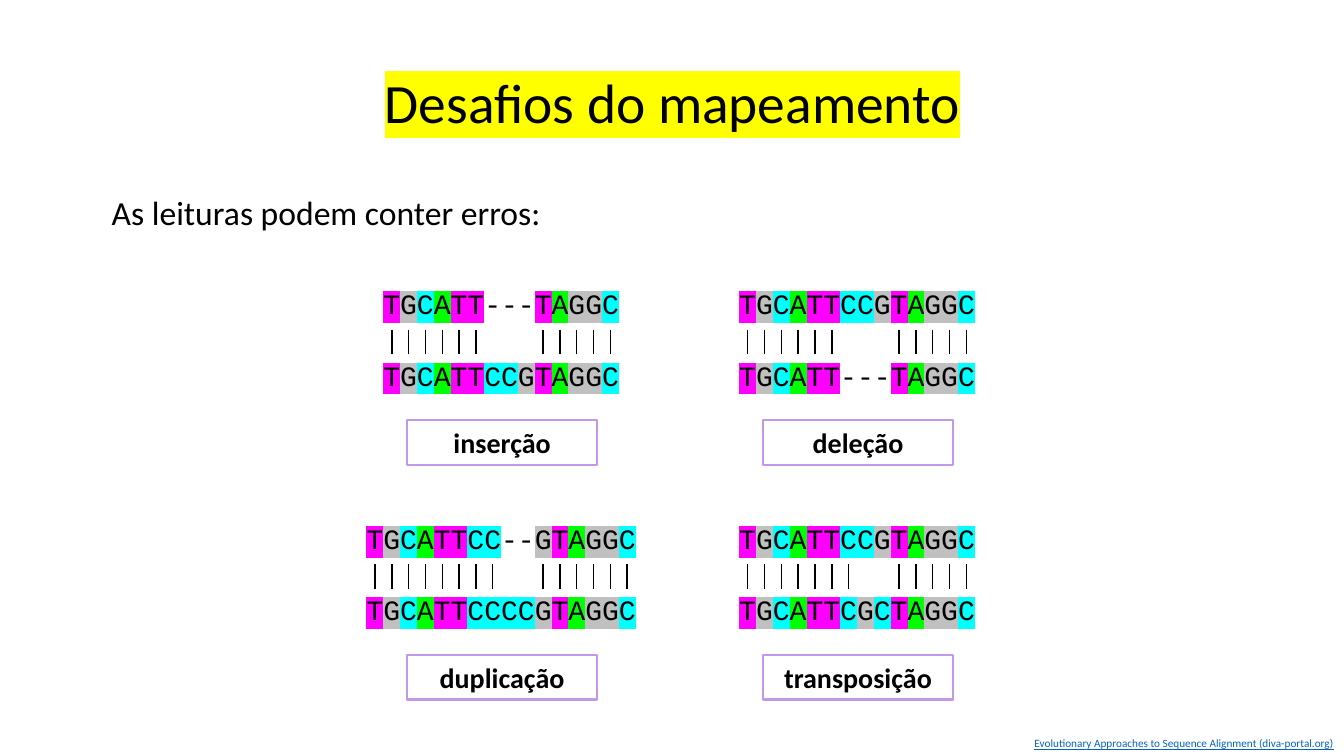
from dataclasses import dataclass
from itertools import groupby

from lxml.etree import SubElement
from pptx import Presentation
from pptx.dml.color import RGBColor
from pptx.enum.shapes import MSO_CONNECTOR, MSO_SHAPE
from pptx.enum.text import MSO_ANCHOR, MSO_AUTO_SIZE, PP_ALIGN
from pptx.oxml import parse_xml
from pptx.oxml.ns import nsdecls, qn
from pptx.util import Inches, Pt


@dataclass(frozen=True)
class Theme:
    ink: str = "000000"
    mark: str = "FFFF00"
    frame: str = "C298EA"
    link: str = "0563C1"
    sans: str = "Calibri"
    mono: str = "Courier New"
    title: float = 39.6
    lead: float = 24
    body: float = 20
    note: float = 8


THEME = Theme()
BASES = {"T": "FF00FF", "G": "C0C0C0", "C": "00FFFF", "A": "00FF00"}

WIDE, HIGH = 13.33, 7.5
STEP = 1 / 6        # width of one letter column
PAD = 0.1           # side inset of a text box
SLACK = 0.02        # spare width after the last letter
GRID = {"left": 4.98, "top": 2.83, "col": 3.53, "row": 2.33}

# Label, upper sequence, lower sequence; two blocks to a row
ERRORS = [
    ("inserção", "TGCATT---TAGGC", "TGCATTCCGTAGGC"),
    ("deleção", "TGCATTCCGTAGGC", "TGCATT---TAGGC"),
    ("duplicação", "TGCATTCC--GTAGGC", "TGCATTCCCCGTAGGC"),
    ("transposição", "TGCATTCCGTAGGC", "TGCATTCGCTAGGC"),
]


def rgb(code):
    return RGBColor.from_string(code)


def assign(item, values):
    for name, value in values.items():
        setattr(item, name, value)


def place(shape, box):
    names = ("left", "top", "width", "height")
    assign(shape, dict(zip(names, map(Inches, box))))


def write(shape, runs, size, face=THEME.sans, color=THEME.ink,
          frame=None, para=None, font=None):
    """Fill a shape with one paragraph of (text, highlight) runs."""
    text = shape.text_frame
    assign(text, {"word_wrap": True, "auto_size": MSO_AUTO_SIZE.NONE,
                  "vertical_anchor": MSO_ANCHOR.TOP, **(frame or {})})
    line = text.paragraphs[0]
    assign(line, {"space_before": Pt(0), **(para or {})})
    for words, mark in runs:
        run = line.add_run()
        run.text = words
        assign(run.font, {"size": Pt(size), "name": face, **(font or {})})
        run.font.color.rgb = rgb(color)
        if mark:
            # Highlight follows the fill in the run properties
            fill = run.font.fill._xPr.find(qn("a:solidFill"))
            fill.addnext(parse_xml(
                f'<a:highlight {nsdecls("a")}><a:srgbClr val="{mark}"/></a:highlight>'))


def note(shapes, box, runs, size, **style):
    shape = shapes.add_textbox(*map(Inches, box))
    write(shape, runs, size, **style)


def strand(shapes, box, bases):
    """A sequence on one line, each base on its own colour."""
    runs = [("".join(same), BASES.get(base)) for base, same in groupby(bases)]
    note(shapes, box, runs, THEME.body, face=THEME.mono,
         frame={"word_wrap": False},
         para={"line_spacing": 0.9, "alignment": PP_ALIGN.LEFT})


def tick(shapes, x, top, base):
    line = shapes.add_connector(MSO_CONNECTOR.STRAIGHT,
                                *map(Inches, (x, top, x, base)))
    line.line.color.rgb = rgb(THEME.ink)
    line.line.width = Pt(1)
    SubElement(line._element.spPr, qn("a:effectLst"))


def label(shapes, box, words):
    shape = shapes.add_shape(MSO_SHAPE.RECTANGLE, *map(Inches, box))
    shape.shadow.inherit = False
    shape.fill.background()
    shape.line.color.rgb = rgb(THEME.frame)
    shape.line.width = Pt(1.5)
    write(shape, [(words, None)], THEME.body, font={"bold": True},
          para={"alignment": PP_ALIGN.CENTER})


def block(slide, mid, top, name, upper, lower):
    """Two aligned strands, ticks between equal bases, and a label."""
    shapes = slide.shapes.add_group_shape().shapes
    wide = len(upper) * STEP + 2 * PAD + SLACK
    left = mid - wide / 2
    for bases, down in ((upper, 0), (lower, 0.71)):
        strand(shapes, (left, top + down, wide, 0.45), bases)
    for spot, (one, two) in enumerate(zip(upper, lower)):
        if one == two:
            x = left + PAD + (spot + 0.5) * STEP
            tick(shapes, x, top + 0.44, top + 0.68)
    label(shapes, (mid - 0.94, top + 1.34, 1.88, 0.44), name)


def header(slide, box):
    head = slide.shapes.title
    place(head, box)
    write(head, [("Desafios do mapeamento", THEME.mark)], THEME.title,
          frame={"vertical_anchor": MSO_ANCHOR.BOTTOM},
          para={"alignment": PP_ALIGN.CENTER, "line_spacing": 0.8})


def main():
    deck = Presentation()
    assign(deck, {"slide_width": Inches(WIDE), "slide_height": Inches(HIGH)})
    slide = deck.slides.add_slide(deck.slide_layouts[5])

    # Title and lead sentence
    header(slide, (0.92, 0.69, 11.5, 0.69))
    note(slide.shapes, (1.01, 1.9, 11.37, 4.99),
         [("As leituras podem conter erros:", None)], THEME.lead,
         para={"line_spacing": 0.9})

    # Grid of alignment errors
    for spot, error in enumerate(ERRORS):
        row, col = divmod(spot, 2)
        block(slide, GRID["left"] + col * GRID["col"],
              GRID["top"] + row * GRID["row"], *error)

    # Source line at the foot
    note(slide.shapes, (0, HIGH - 0.24, WIDE, 0.24),
         [("Evolutionary Approaches to Sequence Alignment (diva-portal.org)", None)],
         THEME.note, color=THEME.link, font={"underline": True},
         para={"alignment": PP_ALIGN.RIGHT})
    deck.save("out.pptx")


if __name__ == "__main__":
    main()
